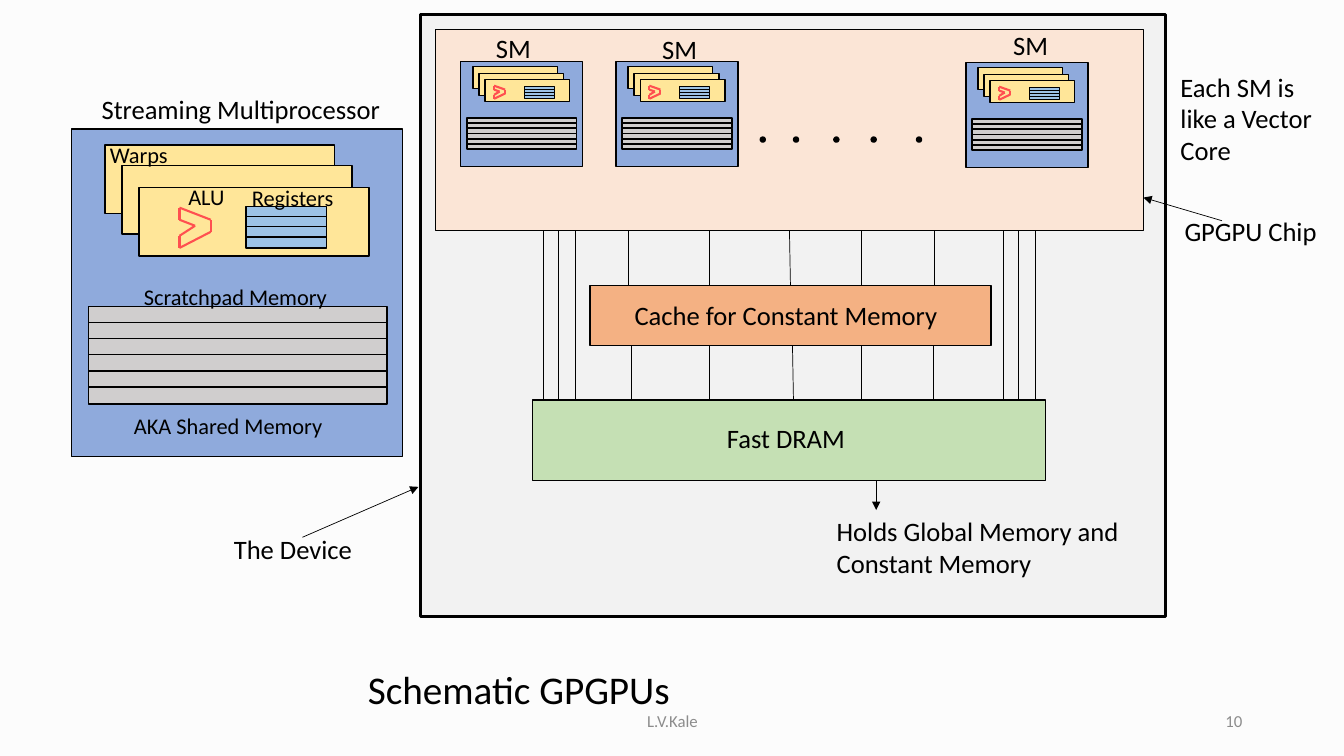
from itertools import pairwise

from lxml import etree
from pptx import Presentation
from pptx import util as u
from pptx.dml.color import RGBColor
from pptx.enum import shapes, text
from pptx.oxml.ns import qn

RECT = shapes.MSO_SHAPE.RECTANGLE
OVAL = shapes.MSO_SHAPE.OVAL
LEFT, CENTER, RIGHT = text.PP_ALIGN.LEFT, text.PP_ALIGN.CENTER, text.PP_ALIGN.RIGHT
BLACK, RED, GRAY = "000000", "FF5050", "8C8C8C"
UNIT_BLUE, WARP, REGISTER, MEMORY = "8FAADC", "FFE699", "9DC3E6", "D0CECE"

# Offsets from the corner of a multiprocessor; rows are x, y, width, height, step
LARGE_SM = {
    "size": (3.28, 3.25),
    "warps": [(0.33, 0.16), (0.5, 0.36), (0.67, 0.58)], "warp_size": (2.28, 0.68),
    "registers": (1.73, 0.77, 0.8, 0.11, 0.1),
    "memory": (0.17, 1.76, 2.96, 0.17, 0.16),
    "alu": (1.07, 0.78, 0.31, 0.4),
}
SMALL_SM = {
    "size": (1.21, 1.04),
    "warps": [(0.12, 0.05), (0.18, 0.12), (0.24, 0.18)], "warp_size": (0.84, 0.22),
    "registers": (0.63, 0.25, 0.3, 0.03, 0.03),
    "memory": (0.06, 0.56, 1.09, 0.05, 0.052),
    "alu": (0.33, 0.24, 0.11, 0.13),
}
# Corners of the ALU symbol as fractions of its box
ALU_OUTLINE = [(0, 0), (1, 0.3), (1, 0.6), (0, 1), (0, 0.7), (0.5, 0.45), (0, 0.3), (0, 0)]


def rgb(value):
    return RGBColor.from_string(value)


def add_block(parts, x, y, w, h, fill, weight=1, kind=RECT):
    sp = parts.add_shape(kind, *map(u.Inches, (x, y, w, h)))
    sp.shadow.inherit = False
    sp.fill.solid()
    sp.fill.fore_color.rgb = rgb(fill)
    sp.line.color.rgb = rgb(BLACK)
    sp.line.width = u.Pt(weight)
    return sp


def add_line(parts, start, end, color=BLACK, weight=0.5, arrow=False):
    line = parts.add_connector(shapes.MSO_CONNECTOR.STRAIGHT, *map(u.Inches, start + end))
    line.line.color.rgb = rgb(color)
    line.line.width = u.Pt(weight)
    if arrow:
        etree.SubElement(line.line._get_or_add_ln(), qn("a:tailEnd"), type="triangle")
    etree.SubElement(line._element.spPr, qn("a:effectLst"))
    return line


def add_label(parts, x, y, w, h, words, size=19, align=LEFT, color=BLACK,
              anchor=text.MSO_ANCHOR.TOP):
    tf = parts.add_textbox(*map(u.Inches, (x, y, w, h))).text_frame
    for name, value in {"word_wrap": True, "vertical_anchor": anchor}.items():
        setattr(tf, name, value)
    p = tf.paragraphs[0]
    p.alignment = align
    r = p.add_run()
    r.text = words
    for name, value in {"name": "Calibri", "size": u.Pt(size)}.items():
        setattr(r.font, name, value)
    r.font.color.rgb = rgb(color)


def add_stack(parts, x, y, row, count, fill):
    dx, dy, w, h, step = row
    for i in range(count):
        add_block(parts, x + dx, y + dy + i * step, w, h, fill)


def add_multiprocessor(s, x, y, layout):
    parts = s.shapes.add_group_shape().shapes
    add_block(parts, x, y, *layout["size"], UNIT_BLUE)
    for dx, dy in layout["warps"]:
        add_block(parts, x + dx, y + dy, *layout["warp_size"], WARP)
    add_stack(parts, x, y, layout["registers"], 4, REGISTER)
    add_stack(parts, x, y, layout["memory"], 6, MEMORY)
    dx, dy, w, h = layout["alu"]
    corners = [(x + dx + fx * w, y + dy + fy * h) for fx, fy in ALU_OUTLINE]
    for start, end in pairwise(corners):
        add_line(parts, start, end, RED, 1.5)
    return parts


def build_detail(s, x, y):
    """Enlarged multiprocessor with its labels."""
    parts = add_multiprocessor(s, x, y, LARGE_SM)
    add_label(parts, x + 0.2, y - 0.41, 3.1, 0.42, "Streaming Multiprocessor")
    for dx, dy, w, words in [
        (0.28, 0.07, 0.89, "Warps"),
        (1.06, 0.49, 0.6, "ALU"),
        (1.69, 0.5, 1.03, "Registers"),
        (0.62, 1.48, 2.23, "Scratchpad Memory"),
        (0.52, 2.76, 2.34, "AKA Shared Memory"),
    ]:
        add_label(parts, x + dx, y + dy, w, 0.37, words, 16)


def build_chip(s, x, y, w, h):
    """Chip with three multiprocessors and the dots between them."""
    chip = add_block(s.shapes, x, y, w, h, "FBE5D6")
    for dx, dy, label_dx, label_dy in [
        (0.25, 0.32, 0.5, -0.02), (1.79, 0.32, 2.15, -0.01), (5.26, 0.33, 5.63, -0.05),
    ]:
        add_label(s.shapes, x + label_dx, y + label_dy, 0.57, 0.4, "SM")
        add_multiprocessor(s, x + dx, y + dy, SMALL_SM)
    dots = s.shapes.add_group_shape().shapes
    for dx in (3.22, 3.55, 3.95, 4.32, 4.77):
        add_block(dots, x + dx, y + 1.07, 0.05, 0.05, BLACK, kind=OVAL)
    return chip


def build_device(s, x, y, w, h):
    """Device frame with chip, cache, DRAM and the buses joining them."""
    add_block(s.shapes, x, y, w, h, "F2F2F2", 2.25)
    chip = build_chip(s, x + 0.15, y + 0.15, 7.02, 2)
    cache = add_block(s.shapes, x + 1.68, y + 2.69, 3.98, 0.6, "F4B183")
    add_label(s.shapes, x + 1.87, y + 2.78, 3.51, 0.4, "Cache for Constant Memory", align=CENTER)
    add_block(s.shapes, x + 1.11, y + 3.83, 5.09, 0.8, "C5E0B4")
    add_label(s.shapes, x + 1.84, y + 4, 3.57, 0.4, "Fast DRAM", align=CENTER)

    # Buses: chip to cache, cache to DRAM, chip to DRAM
    chip_y, cache_top, cache_y, dram_y = y + 2.15, y + 2.69, y + 3.29, y + 3.83
    middle = add_line(s.shapes, (x + 3.66, chip_y), (x + 3.67, cache_top))
    middle.begin_connect(chip, 2)
    middle.end_connect(cache, 0)
    add_line(s.shapes, (x + 3.69, cache_y), (x + 3.7, dram_y))
    for offsets, top, bottom in [
        ((2.06, 2.87, 4.37, 5.1), chip_y, cache_top),
        ((2.09, 2.87, 4.37, 5.09), cache_y, dram_y),
        ((1.22, 1.37, 1.54, 5.78, 5.93, 6.1), chip_y, dram_y),
    ]:
        for dx in offsets:
            add_line(s.shapes, (x + dx, top), (x + dx, bottom))

    add_line(s.shapes, (x + 4.52, y + 4.63), (x + 4.52, y + 4.92), arrow=True)
    add_label(s.shapes, x + 4.03, y + 4.92, 3.37, 0.71, "Holds Global Memory and Constant Memory")


def build_callouts(s):
    add_label(s.shapes, 11.61, 0.65, 1.69, 0.71, "Each SM is like a Vector Core")
    add_label(s.shapes, 11.65, 2.08, 1.53, 0.4, "GPGPU Chip")
    add_line(s.shapes, (12.12, 2.19), (11.34, 1.96), arrow=True)
    add_label(s.shapes, 2.2, 5.24, 1.41, 0.4, "The Device", align=CENTER)
    add_line(s.shapes, (3, 5.33), (4.15, 4.83), arrow=True)


def build_footer(s, y):
    add_label(s.shapes, 3.38, y - 0.4, 3.53, 0.57, "Schematic GPGPUs", 28, CENTER)
    for x, w, words, align in [(4.42, 4.5, "L.V.Kale", CENTER), (9.42, 3, "10", RIGHT)]:
        add_label(s.shapes, x, y, w, 0.4, words, 12, align, GRAY, text.MSO_ANCHOR.MIDDLE)


def main():
    prs = Presentation()
    prs.slide_width, prs.slide_height = u.Inches(13.33), u.Inches(7.5)
    s = prs.slides.add_slide(prs.slide_layouts[6])
    s.background.fill.solid()
    s.background.fill.fore_color.rgb = rgb("FCFCFC")
    build_device(s, 4.17, 0.14, 7.39, 5.98)
    build_detail(s, 0.71, 1.28)
    build_callouts(s)
    build_footer(s, 6.95)
    prs.save("out.pptx")


if __name__ == "__main__":
    main()
